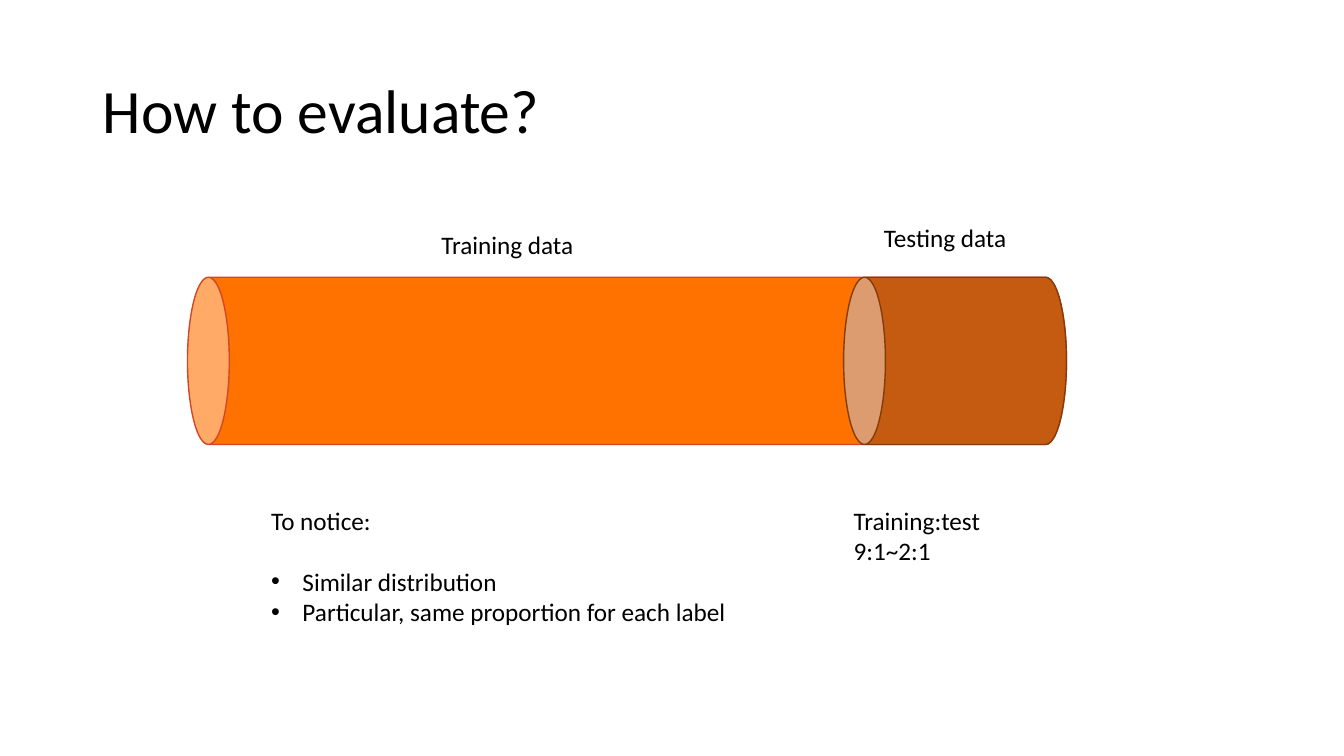
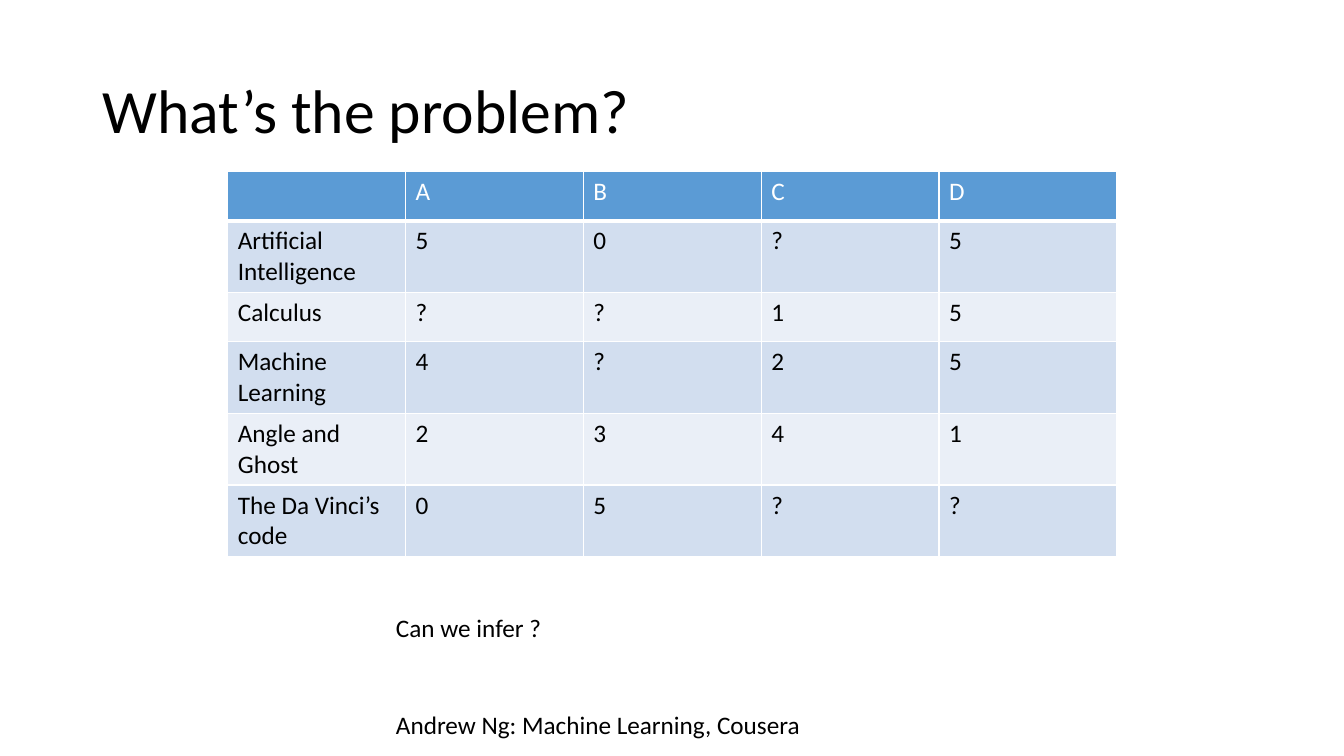
import pptx
import pptx.dml.color
import pptx.enum.shapes
import pptx.enum.text
import pptx.oxml
import pptx.oxml.ns
import pptx.util

BLACK, WHITE = "000000", "FFFFFF"
HEADER_BLUE, BAND_BLUES = "5B9BD5", ("D2DEEF", "EAEFF7")
TRAINING_FILL, TRAINING_LINE = "FF7200", "D24726"
TESTING_FILL, TESTING_LINE = "C55A11", "843C0B"
LABEL_HEIGHT = 5.33


def color(hex_code):
    return pptx.dml.color.RGBColor.from_string(hex_code)


def add_xml(parent, markup):
    """Append an element written with the a: prefix."""
    namespace = pptx.oxml.ns.nsdecls("a")
    tag, rest = markup[:-2].split(" ", 1) if markup.endswith("/>") else markup.split(" ", 1)
    ending = "/>" if markup.endswith("/>") else ""
    parent.append(pptx.oxml.parse_xml(f"{tag} {namespace} {rest}{ending}"))


class Deck:
    """Holds the shared style and the current slide; lengths are percent of the slide."""

    font_name, title_size, text_size = "Calibri", 44, 18
    bullet_indent = 0.31

    def __init__(self):
        self.presentation = pptx.Presentation()
        self.presentation.slide_width = pptx.util.Inches(13.33)
        self.presentation.slide_height = pptx.util.Inches(7.5)
        self.slide = None

    def box(self, left, top, width, height):
        across = self.presentation.slide_width / 100
        down = self.presentation.slide_height / 100
        return [round(v) for v in (left * across, top * down, width * across, height * down)]

    def place(self, shape, area):
        shape.left, shape.top, shape.width, shape.height = self.box(*area)

    def format_runs(self, text_frame, size, hex_code=BLACK):
        for paragraph in text_frame.paragraphs:
            for run in paragraph.runs:
                run.font.name = self.font_name
                run.font.size = pptx.util.Pt(size)
                run.font.bold = False
                run.font.color.rgb = color(hex_code)

    # Slide with its title
    def new_slide(self, title, with_list=False):
        layout = self.presentation.slide_layouts[1 if with_list else 5]
        self.slide = self.presentation.slides.add_slide(layout)
        shape = self.slide.shapes.title
        self.place(shape, (6.9, 5.33, 86.27, 19.33))
        text_frame = shape.text_frame
        text_frame.text = title
        text_frame.vertical_anchor = pptx.enum.text.MSO_ANCHOR.MIDDLE
        text_frame.paragraphs[0].alignment = pptx.enum.text.PP_ALIGN.LEFT
        text_frame.paragraphs[0].line_spacing = 0.9
        self.format_runs(text_frame, self.title_size)

    # Free text, one paragraph per line
    def text(self, lines, area):
        text_frame = self.slide.shapes.add_textbox(*self.box(*area)).text_frame
        text_frame.word_wrap = True
        text_frame.text = lines
        self.format_runs(text_frame, self.text_size)

    # Lead line followed by bullets, in the body placeholder
    def bullet_list(self, lead, bullets, area):
        body = self.slide.placeholders[1]
        self.place(body, area)
        text_frame = body.text_frame
        text_frame.auto_size = pptx.enum.text.MSO_AUTO_SIZE.NONE
        text_frame.text = "\n".join([lead, *bullets])
        indent = pptx.util.Inches(self.bullet_indent)
        for index, paragraph in enumerate(text_frame.paragraphs):
            properties = paragraph._p.get_or_add_pPr()
            properties.set("marL", str(indent if index else 0))
            properties.set("indent", str(-indent if index else 0))
            if index:
                add_xml(properties, '<a:buFont typeface="Arial"/>')
                add_xml(properties, '<a:buChar char="•"/>')
            else:
                add_xml(properties, "<a:buNone />")
            # One line of space parts the lead from the bullets
            paragraph.space_before = pptx.util.Pt(22 if index == 1 else 0)
        self.format_runs(text_frame, self.text_size)

    # Can lying on its side; area is what it covers on the slide
    def lying_can(self, area, fill, line):
        left, top, width, height = self.box(*area)
        shape = self.slide.shapes.add_shape(
            pptx.enum.shapes.MSO_SHAPE.CAN,
            left + (width - height) // 2, top + (height - width) // 2, height, width)
        shape.rotation = 270
        shape.shadow.inherit = False
        shape.fill.solid()
        shape.fill.fore_color.rgb = color(fill)
        shape.line.color.rgb = color(line)
        shape.line.width = pptx.util.Pt(1)

    # Table with a header row and two alternating bands
    def table(self, rows, area):
        table = self.slide.shapes.add_table(len(rows), len(rows[0]), *self.box(*area)).table
        for row_index, row in enumerate(rows):
            header = row_index == 0
            fill = HEADER_BLUE if header else BAND_BLUES[(row_index - 1) % 2]
            for column_index, value in enumerate(row):
                cell = table.cell(row_index, column_index)
                cell.text = value
                self.format_runs(cell.text_frame, self.text_size, WHITE if header else BLACK)
                for side in "LRTB":
                    width = pptx.util.Pt(3 if header and side == "B" else 1)
                    add_xml(cell._tc.get_or_add_tcPr(),
                            f'<a:ln{side} w="{width}"><a:solidFill>'
                            f'<a:srgbClr val="{WHITE}"/></a:solidFill></a:ln{side}>')
                cell.fill.solid()
                cell.fill.fore_color.rgb = color(fill)


def evaluation_slide(deck):
    deck.new_slide("How to evaluate?", with_list=True)

    # Data bar: the testing part covers the right end of the whole
    left, top, width, height = 13.95, 36.67, 65.4, 22.13
    testing_width = 16.58
    deck.lying_can((left, top, width, height), TRAINING_FILL, TRAINING_LINE)
    deck.lying_can((left + width - testing_width, top, testing_width, height),
                   TESTING_FILL, TESTING_LINE)
    deck.text("Training data", (32.1, 29.73, 12, LABEL_HEIGHT))
    deck.text("Testing data", (65.03, 28.8, 12, LABEL_HEIGHT))

    # Remarks below the bar
    remarks_top = 66.13
    deck.bullet_list("To notice:",
                     ["Similar distribution", "Particular, same proportion for each label"],
                     (19.43, remarks_top, 37.35, 17.47))
    deck.text("Training:test\n9:1~2:1", (62.78, remarks_top, 22.5, 9.47))


def problem_slide(deck):
    deck.new_slide("What’s the problem?")
    deck.table([
        ["", "A", "B", "C", "D"],
        ["Artificial Intelligence", "5", "0", "?", "5"],
        ["Calculus", "?", "?", "1", "5"],
        ["Machine Learning", "4", "?", "2", "5"],
        ["Angle and Ghost", "2", "3", "4", "1"],
        ["The Da Vinci’s code", "0", "5", "?", "?"],
    ], (16.95, 22.67, 66.15, 39.2))

    # Question and source
    text_left = 28.73
    deck.text("Can we infer ?", (text_left, 80.4, 14, LABEL_HEIGHT))
    deck.text("Andrew Ng: Machine Learning, Cousera", (text_left, 93.2, 38.78, LABEL_HEIGHT))


def main():
    deck = Deck()
    evaluation_slide(deck)
    problem_slide(deck)
    deck.presentation.save("out.pptx")


if __name__ == "__main__":
    main()
